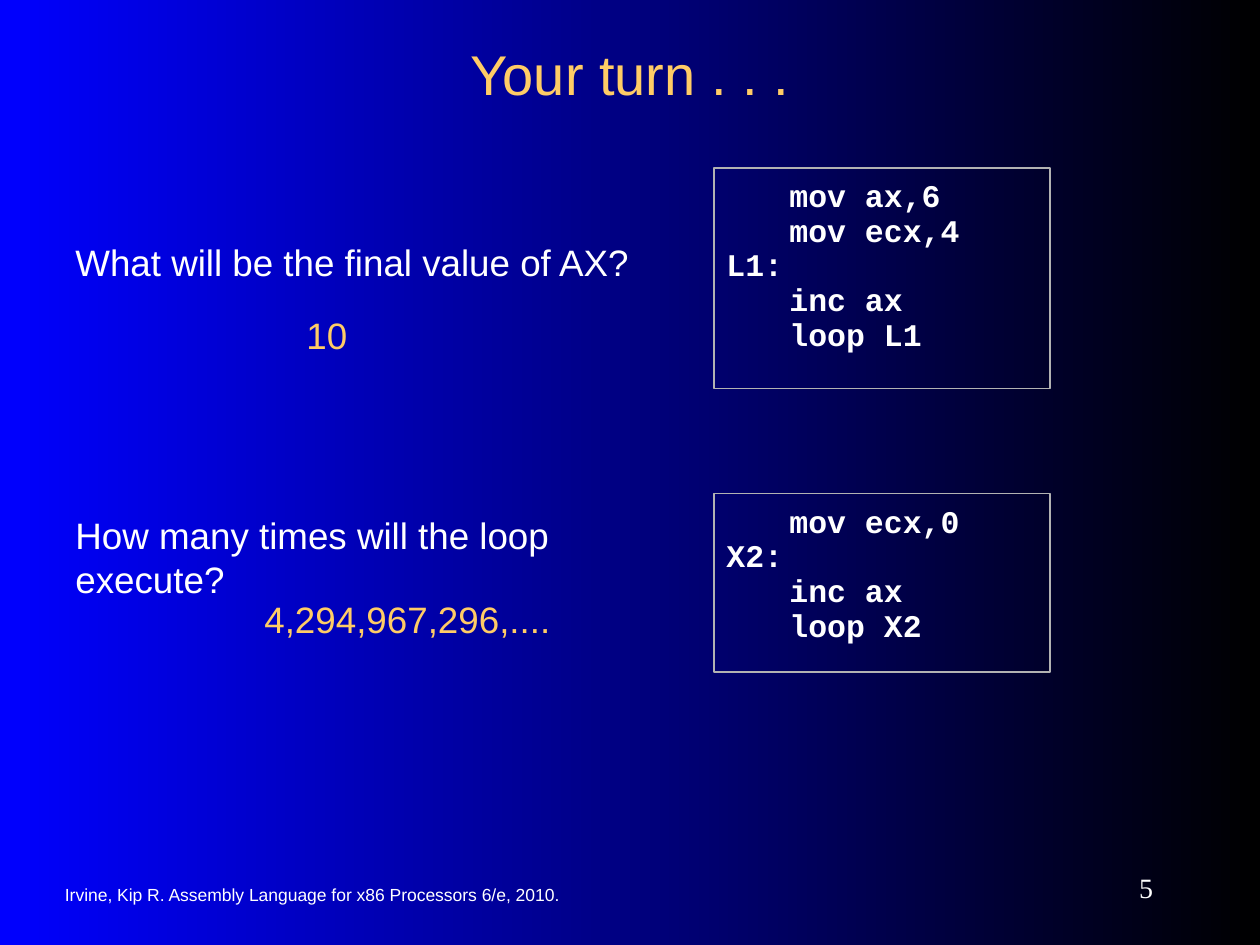
from dataclasses import dataclass

from lxml.etree import SubElement
from pptx import Presentation
from pptx.dml.color import RGBColor
from pptx.enum.shapes import MSO_SHAPE
from pptx.enum.text import MSO_ANCHOR, MSO_AUTO_SIZE, PP_ALIGN
from pptx.oxml.ns import qn
from pptx.util import Pt

WHITE, GOLD, GREY = "FFFFFF", "FFCC66", "B2B2B2"
SIDE_INSET = 7.2
CODE_TAB = 36


@dataclass
class Style:
    size: float
    color: str = WHITE
    name: str = "Arial"
    bold: bool = False
    alignment: PP_ALIGN = PP_ALIGN.LEFT
    anchor: MSO_ANCHOR = MSO_ANCHOR.TOP
    inset: float = 10.8
    line_spacing: float | None = None


@dataclass
class Label:
    text: str
    box: tuple[float, float, float, float]
    style: Style


@dataclass
class CodeBox:
    lines: list[str]
    top: float
    height: float


QUESTION = Style(21)
ANSWER = Style(21, GOLD)
TITLE = Style(32, GOLD, alignment=PP_ALIGN.CENTER, anchor=MSO_ANCHOR.MIDDLE, inset=3.6)
CITATION = Style(10, anchor=MSO_ANCHOR.MIDDLE, inset=3.6)
NUMBER = Style(16, name="Times New Roman", alignment=PP_ALIGN.RIGHT,
               anchor=MSO_ANCHOR.MIDDLE, inset=3.6)
CODE = Style(18, name="Courier New", bold=True, inset=6.4, line_spacing=19.8)

LABELS = [
    Label("Irvine, Kip R. Assembly Language for x86 Processors 6/e, 2010.",
          (30, 499, 342, 24), CITATION),
    Label("5", (588, 492, 78, 30), NUMBER),
    Label("What will be the final value of AX?", (36, 126, 396, 47), QUESTION),
    Label("10", (168, 168, 48, 47), ANSWER),
    Label("How many times will the loop execute?", (36, 282, 336, 72), QUESTION),
    Label("4,294,967,296,....", (144, 330, 186, 47), ANSWER),
]

CODE_BOXES = [
    CodeBox(["\tmov ax,6", "\tmov ecx,4", "L1:", "\tinc ax", "\tloop L1"], 96, 126),
    CodeBox(["\tmov ecx,0", "X2:", "\tinc ax", "\tloop X2"], 282, 102),
]


def rgb(color: str) -> RGBColor:
    return RGBColor.from_string(color)


def apply_format(target, values: dict) -> None:
    for name, value in values.items():
        setattr(target, name, value)


def write_text(shape, lines: list[str], style: Style) -> None:
    frame = shape.text_frame
    apply_format(frame, {
        "text": "\n".join(lines),
        "word_wrap": True,
        "auto_size": MSO_AUTO_SIZE.NONE,
        "vertical_anchor": style.anchor,
        "margin_left": Pt(SIDE_INSET),
        "margin_right": Pt(SIDE_INSET),
        "margin_top": Pt(style.inset),
        "margin_bottom": Pt(style.inset),
    })
    for paragraph in frame.paragraphs:
        paragraph.alignment = style.alignment
        if style.line_spacing:
            paragraph.line_spacing = Pt(style.line_spacing)
        for run in paragraph.runs:
            apply_format(run.font, {
                "name": style.name, "size": Pt(style.size), "bold": style.bold,
            })
            run.font.color.rgb = rgb(style.color)


def add_label(slide, label: Label) -> None:
    shape = slide.shapes.add_textbox(*map(Pt, label.box))
    write_text(shape, [label.text], label.style)


def add_code_box(slide, code: CodeBox) -> None:
    shape = slide.shapes.add_shape(
        MSO_SHAPE.RECTANGLE, Pt(408), Pt(code.top), Pt(192), Pt(code.height))
    shape.shadow.inherit = False
    shape.fill.background()
    shape.line.color.rgb = rgb(GREY)
    shape.line.width = Pt(0.75)
    write_text(shape, code.lines, CODE)
    # Tab stop that indents the instructions
    for paragraph in shape.text_frame.paragraphs:
        tabs = SubElement(paragraph._p.get_or_add_pPr(), qn("a:tabLst"))
        SubElement(tabs, qn("a:tab"), pos=str(Pt(CODE_TAB)), algn="l")


def main() -> None:
    presentation = Presentation()
    presentation.slide_width, presentation.slide_height = Pt(720), Pt(540)
    slide = presentation.slides.add_slide(presentation.slide_layouts[5])

    # Background running from blue to black
    fill = slide.background.fill
    fill.gradient()
    fill.gradient_angle = 0
    for stop, color in zip(fill.gradient_stops, ("0000FF", "000000")):
        stop.color.rgb = rgb(color)

    # Title
    title = slide.shapes.title
    apply_format(title, {
        "left": Pt(54), "top": Pt(18), "width": Pt(612), "height": Pt(48),
    })
    write_text(title, ["Your turn . . ."], TITLE)

    # Questions, answers and footer
    for label in LABELS:
        add_label(slide, label)

    # Code listings
    for code in CODE_BOXES:
        add_code_box(slide, code)

    presentation.save("out.pptx")


if __name__ == "__main__":
    main()
